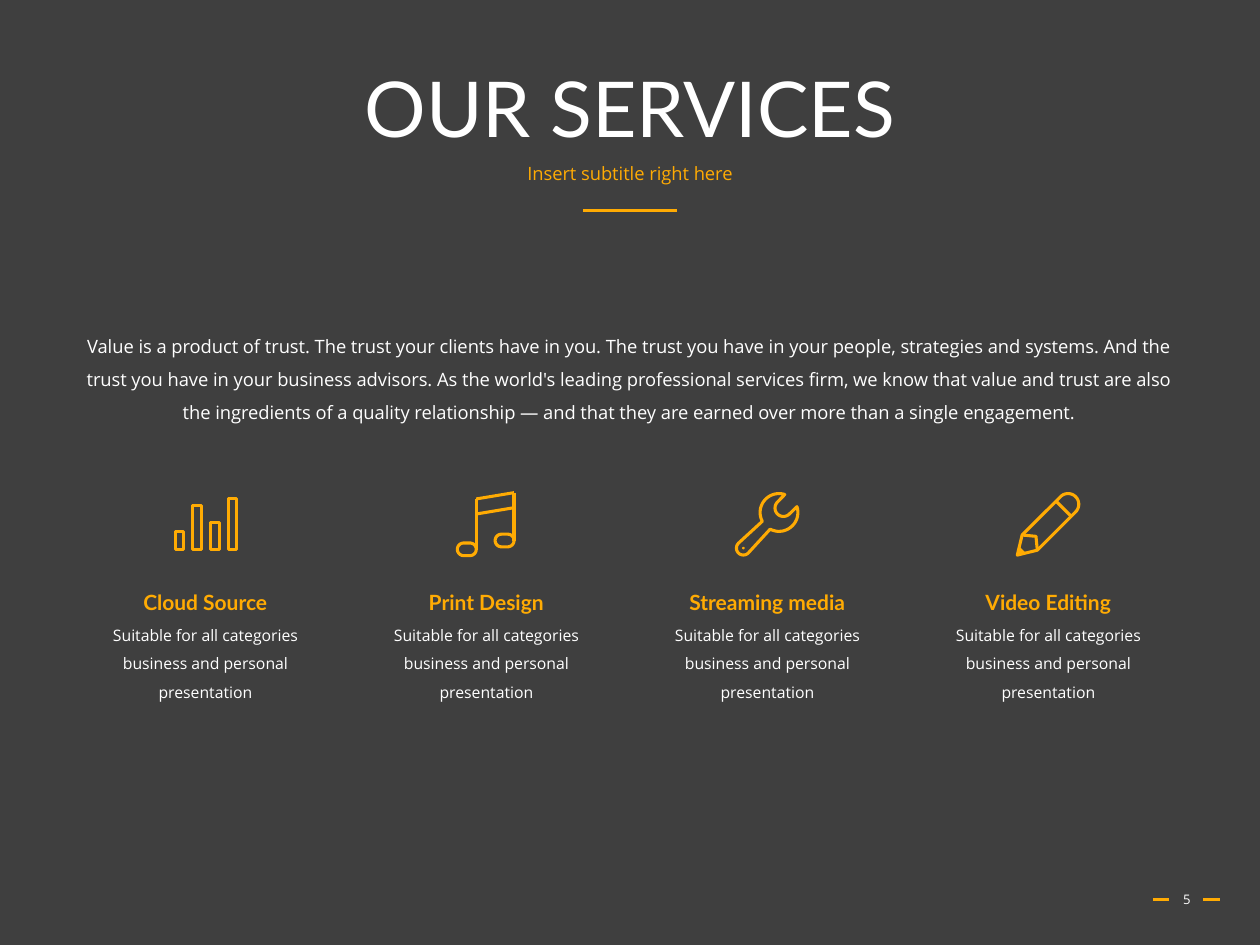
from dataclasses import dataclass
from math import cos, radians, sin, sqrt

from lxml import etree
from pptx import Presentation
from pptx.dml.color import RGBColor
from pptx.enum.shapes import MSO_CONNECTOR
from pptx.enum.text import MSO_ANCHOR, MSO_AUTO_SIZE, PP_ALIGN
from pptx.oxml.ns import qn
from pptx.util import Inches, Pt

CENTER = PP_ALIGN.CENTER
TOP, MIDDLE = MSO_ANCHOR.TOP, MSO_ANCHOR.MIDDLE
FIXED, GROW = MSO_AUTO_SIZE.NONE, MSO_AUTO_SIZE.SHAPE_TO_FIT_TEXT
STRAIGHT = MSO_CONNECTOR.STRAIGHT


@dataclass(frozen=True)
class Theme:
    """Colours, fonts and type sizes of the slide."""
    background: RGBColor = RGBColor.from_string("3F3F3F")
    accent: RGBColor = RGBColor.from_string("FFAB03")
    light: RGBColor = RGBColor.from_string("FFFFFF")
    heading: str = "Lato"
    body: str = "Open Sans"
    title_size: float = 44
    service_size: float = 12
    lead_size: float = 10.5
    detail_size: float = 9
    number_size: float = 7.5
    stroke: float = 1.75


THEME = Theme()

LEAD = (
    "Value is a product of trust. The trust your clients have in you. "
    "The trust you have in your people, strategies and systems. And the trust "
    "you have in your business advisors. As the world's leading professional "
    "services firm, we know that value and trust are also the ingredients of a "
    "quality relationship \u2014 and that they are earned over more than a single "
    "engagement."
)
DETAIL = "Suitable for all categories business and personal presentation"
FIRST_CENTER, COLUMN_PITCH = 1.63, 2.23
NAME_WIDTH, DETAIL_WIDTH = 1.46, 2.05
RULES = [(4.63, 5.37, 1.67), (9.15, 9.28, 7.14), (9.55, 9.68, 7.14)]


def arc(center, radius, start, end, steps=24):
    """Return points on a circle from one angle in degrees to another."""
    angles = [radians(start + (end - start) * step / steps) for step in range(steps + 1)]
    return [(center[0] + radius * cos(angle), center[1] + radius * sin(angle))
            for angle in angles]


def rectangle(left, top, width, height):
    """Return the corners of a rectangle."""
    right, bottom = left + width, top + height
    return [(left, top), (right, top), (right, bottom), (left, bottom)]


def capsule(left, middle, width, height):
    """Return a horizontal bar with round ends."""
    radius = height / 2
    return (arc((left + radius, middle), radius, 90, 270)
            + arc((left + width - radius, middle), radius, 270, 450))


def mirrored(points):
    """Return the points reflected in the long axis, in reverse order."""
    return [(along, -across) for along, across in reversed(points)]


def tilted(origin, points):
    """Place (along, across) points on an axis rising 45 degrees to the right."""
    return [(origin[0] + (along + across) / sqrt(2),
             origin[1] - (along - across) / sqrt(2)) for along, across in points]


def add_outline(page, contours, closed=True, filled=False):
    """Draw contours as one freeform, either stroked or filled."""
    scaled = [[(Inches(x), Inches(y)) for x, y in contour] for contour in contours]
    builder = page.shapes.build_freeform(*scaled[0][0], scale=1.0)
    for points in scaled:
        builder.move_to(*points[0])
        builder.add_line_segments(points[1:], close=closed)
    shape = builder.convert_to_shape()
    shape.shadow.inherit = False
    if filled:
        shape.fill.solid()
        shape.fill.fore_color.rgb = THEME.accent
        shape.line.fill.background()
        return
    shape.fill.background()
    shape.line.color.rgb = THEME.accent
    shape.line.width = Pt(THEME.stroke)
    etree.SubElement(shape.line._get_or_add_ln(), qn("a:round"))


def add_bars_icon(page):
    """Draw four upright bars on a common base."""
    first_left, base, pitch, width = 1.39, 4.36, 0.14, 0.07
    heights = [0.14, 0.35, 0.21, 0.4]
    add_outline(page, [rectangle(first_left + pitch * index, base - height, width, height)
                       for index, height in enumerate(heights)])


def add_note_icon(page):
    """Draw two stems with round heads, joined by a double beam."""
    head_width, head_height, beam_gap = 0.15, 0.1, 0.12
    stems = [(3.78, 3.96, 4.36), (4.08, 3.91, 4.29)]
    add_outline(page, [capsule(x - head_width, foot, head_width, head_height)
                       for x, _, foot in stems])
    uprights = [[(x, top), (x, foot)] for x, top, foot in stems]
    beams = [[(x, top + drop) for x, top, _ in stems] for drop in (0, beam_gap)]
    add_outline(page, uprights + beams, closed=False)


def add_wrench_icon(page):
    """Draw a round handle end, a round head and a jaw cut into the head."""
    handle_end = (5.9, 4.35)
    grip_radius, head_radius, jaw_radius = 0.055, 0.15, 0.067
    head_center, jaw_center = (0.4, 0), (0.45, 0)
    neck_angle, tip_angle = 163, 27
    head_side = arc(head_center, head_radius, tip_angle, neck_angle)
    body = (arc((0, 0), grip_radius, 90, 270) + mirrored(head_side)
            + arc(jaw_center, jaw_radius, 270, 90) + head_side)
    add_outline(page, [tilted(handle_end, body)])
    add_outline(page, [tilted(handle_end, arc((0, 0), 0.01, 0, 360))], filled=True)


def add_pencil_icon(page):
    """Draw a pencil from its point, wood and shaft to its round end."""
    point = (8.06, 4.42)
    tip, lead, shoulder, notch, band, end = 0.02, 0.08, 0.16, 0.23, 0.54, 0.59
    half, lead_half = 0.085, 0.03
    body = [(tip, 0), (shoulder, -half)] + arc((end, 0), half, -90, 90) + [(shoulder, half)]
    wood = [(shoulder, -half), (notch, 0), (shoulder, half)]
    ferrule = [(band, -half), (band, half)]
    add_outline(page, [tilted(point, body)])
    add_outline(page, [tilted(point, line) for line in (wood, ferrule)], closed=False)
    add_outline(page, [tilted(point, [(tip, 0), (lead, -lead_half), (lead, lead_half)])],
                filled=True)


SERVICES = [("Cloud Source", add_bars_icon), ("Print Design", add_note_icon),
            ("Streaming media", add_wrench_icon), ("Video Editing", add_pencil_icon)]


def add_rule(page, start, end, y):
    """Draw a horizontal accent line."""
    rule = page.shapes.add_connector(STRAIGHT, Inches(start), Inches(y),
                                     Inches(end), Inches(y))
    rule.line.color.rgb = THEME.accent
    rule.line.width = Pt(THEME.stroke)
    etree.SubElement(rule._element.spPr, qn("a:effectLst"))


def add_text(page, text, left, top, width, height, *, size, font=THEME.body,
             color=THEME.light, bold=False, spacing=1.0, before=0,
             anchor=TOP, wrap=True, fit=FIXED):
    """Add a centred text box with the given format."""
    box = page.shapes.add_textbox(Inches(left), Inches(top), Inches(width), Inches(height))
    frame = box.text_frame
    frame.word_wrap, frame.auto_size, frame.vertical_anchor = wrap, fit, anchor
    para = frame.paragraphs[0]
    para.alignment, para.line_spacing, para.space_before = CENTER, spacing, Pt(before)
    span = para.add_run()
    span.text = text
    span.font.name, span.font.size, span.font.bold = font, Pt(size), bold
    span.font.color.rgb = color


def add_service(page, name, add_icon, center):
    """Add an icon with the service name and description below."""
    add_icon(page)
    add_text(page, name, center - NAME_WIDTH / 2, 4.63, NAME_WIDTH, 0.3,
             size=THEME.service_size, font=THEME.heading, color=THEME.accent,
             bold=True, wrap=False, fit=GROW)
    add_text(page, DETAIL, center - DETAIL_WIDTH / 2, 4.84, DETAIL_WIDTH, 0.78,
             size=THEME.detail_size, spacing=1.5, fit=GROW)


def main():
    """Build the services slide and save it."""
    deck = Presentation()
    deck.slide_width, deck.slide_height = Inches(10), Inches(7.5)
    page = deck.slides.add_slide(deck.slide_layouts[6])
    page.background.fill.solid()
    page.background.fill.fore_color.rgb = THEME.background
    for rule in RULES:
        add_rule(page, *rule)
    add_text(page, "OUR SERVICES", 0.69, 0.4, 8.62, 0.98, size=THEME.title_size,
             font=THEME.heading, spacing=0.9, anchor=MIDDLE)
    add_text(page, "5", 9.2, 6.94, 0.44, 0.4, size=THEME.number_size, anchor=MIDDLE)
    add_text(page, "Insert subtitle right here", 0.69, 1.26, 8.62, 0.4,
             size=THEME.lead_size, color=THEME.accent, spacing=0.9, before=10)
    add_text(page, LEAD, 0.52, 2.52, 8.95, 1.04, size=THEME.lead_size, spacing=1.5)
    for index, (name, add_icon) in enumerate(SERVICES):
        add_service(page, name, add_icon, FIRST_CENTER + COLUMN_PITCH * index)
    deck.save("out.pptx")


main()
